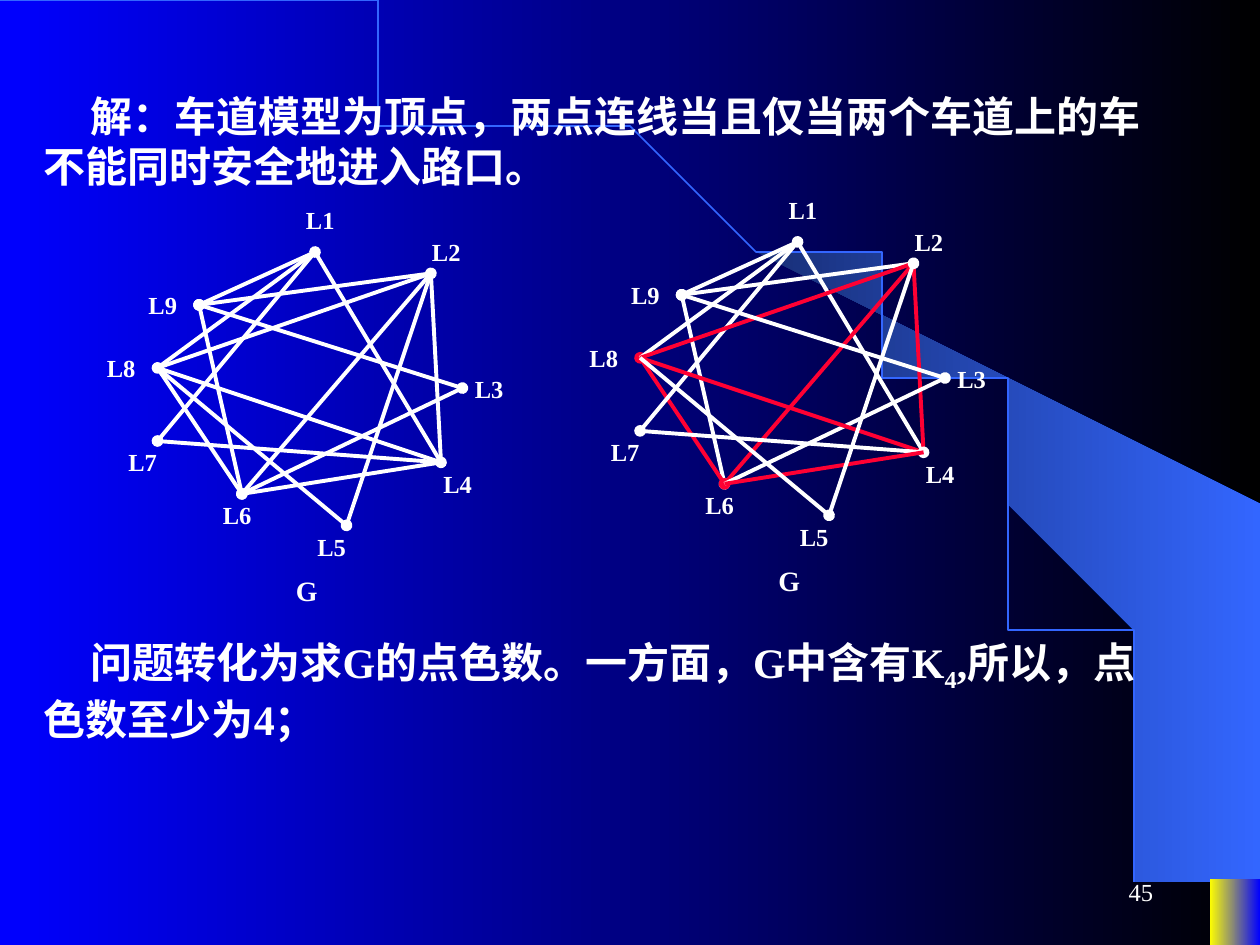
"""Build a slide that models traffic lanes as a conflict graph and highlights its K4."""
from math import cos, pi, sin

from lxml import etree
from pptx import Presentation
from pptx.dml.color import RGBColor
from pptx.enum.shapes import MSO_CONNECTOR, MSO_SHAPE
from pptx.enum.text import MSO_ANCHOR, PP_ALIGN
from pptx.oxml.ns import qn
from pptx.util import Inches, Pt

STRAIGHT = MSO_CONNECTOR.STRAIGHT
RECTANGLE = MSO_SHAPE.RECTANGLE
RIGHT, MIDDLE = PP_ALIGN.RIGHT, MSO_ANCHOR.MIDDLE
FONT = "Times New Roman"
COLORS = {"white": "FFFFFF", "red": "FF0033", "blue": "0000FF", "black": "000000",
          "navy": "182F76", "sky": "3366FF", "yellow": "FFFF00"}

SOLUTION = ["解：车道模型为顶点，两点连线当且仅当两个车道上的车不能同时安全地进入路口。"]
CONCLUSION = ["问题转化为求G的点色数。一方面，G中含有K", "4", ",所以，点色数至少为4；"]
SLIDE_NUMBER = "45"
GRAPH_NAME = "G"

VERTICES = {
    "L1": (2.5, 2), "L2": (3.42, 2.17), "L3": (3.67, 3.08),
    "L4": (3.5, 3.67), "L5": (2.75, 4.17), "L6": (1.92, 3.92),
    "L7": (1.25, 3.5), "L8": (1.25, 2.92), "L9": (1.58, 2.42),
}
LABELS = {
    "L1": (2.33, 1.58), "L2": (3.33, 1.83), "L3": (3.67, 2.92),
    "L4": (3.42, 3.67), "L5": (2.42, 4.17), "L6": (1.67, 3.92),
    "L7": (0.92, 3.5), "L8": (0.75, 2.75), "L9": (1.08, 2.25),
}
EDGES = ["L1 L9", "L9 L6", "L6 L8", "L1 L8", "L1 L7", "L1 L4", "L9 L2", "L2 L8", "L2 L6",
         "L2 L4", "L9 L3", "L3 L6", "L8 L4", "L7 L4", "L4 L6", "L2 L5", "L8 L5"]
DOTTED_EDGES = {"L1 L9", "L9 L6", "L6 L8", "L9 L3", "L7 L4", "L2 L5"}
CLIQUE = {"L2", "L4", "L6", "L8"}
GRAPHS = [((0, 0), set()), ((3.83, -0.08), CLIQUE)]

ARC_WIDTH, ARC_HEIGHT, ARC_STEPS = 9.2, 7.49, 90
BEAM = [(9.2, 7.48), (9.99, 7.49), (9.99, 4.23), (5.89, 1.73), (6.24, 1.99), (6.53, 2.22),
        (6.85, 2.5), (7.16, 2.8), (7.62, 3.3), (8.03, 3.84), (8.32, 4.31), (8.58, 4.79),
        (8.78, 5.28), (8.93, 5.72), (9.03, 6.09), (9.13, 6.56), (9.17, 6.96)]


def color(name):
    return RGBColor.from_string(COLORS[name])


def set_gradient(fill, *names):
    fill.gradient()
    fill.gradient_angle = 0
    for stop, name in zip(fill.gradient_stops, names):
        stop.color.rgb = color(name)


def add_outline(slide, points, close):
    builder = slide.shapes.build_freeform(*points[0], scale=Inches(1))
    builder.add_line_segments(points[1:], close=close)
    shape = builder.convert_to_shape()
    shape.shadow.inherit = False
    return shape


def add_text(shapes, box, runs, size, bold=True):
    shape = shapes.add_textbox(*map(Inches, box))
    shape.text_frame.word_wrap = True
    paragraph = shape.text_frame.paragraphs[0]
    paragraph.font.name = FONT
    paragraph.font.size = Pt(size)
    paragraph.font.bold = bold
    paragraph.font.color.rgb = color("white")
    for text in runs:
        paragraph.add_run().text = text
    return shape


def add_body(slide, box, runs):
    paragraph = add_text(slide.shapes, box, runs, 24).text_frame.paragraphs[0]
    paragraph.space_before = Pt(15)
    paragraph._p.get_or_add_pPr().set("indent", str(Inches(0.37)))
    return paragraph


def add_edge(shapes, start, end, line_color, dotted):
    connector = shapes.add_connector(STRAIGHT, *map(Inches, (*start, *end)))
    connector.line.color.rgb = color(line_color)
    connector.line.width = Pt(2.25)
    if dotted:
        for tag in ("a:headEnd", "a:tailEnd"):
            etree.SubElement(connector.line._get_or_add_ln(), qn(tag), type="oval")
    etree.SubElement(connector._element.spPr, qn("a:effectLst"))


def add_graph(slide, offset, clique):
    def place(point):
        return point[0] + offset[0], point[1] + offset[1]

    shapes = slide.shapes.add_group_shape().shapes
    for edge in EDGES:
        ends = edge.split()
        line_color = "red" if clique.issuperset(ends) else "white"
        start, end = (place(VERTICES[name]) for name in ends)
        add_edge(shapes, start, end, line_color, edge in DOTTED_EDGES)
    for name, point in LABELS.items():
        add_text(shapes, (*place(point), 0.52, 0.34), [name], 14)
    add_text(shapes, (*place((2.25, 4.5)), 0.77, 0.37), [GRAPH_NAME], 16)


def add_backdrop(slide):
    set_gradient(slide.background.fill, "blue", "black")
    beam = add_outline(slide, BEAM, True)
    set_gradient(beam.fill, "navy", "sky")
    beam.line.fill.background()

    angles = [pi / 2 * step / ARC_STEPS for step in range(ARC_STEPS + 1)]
    arc = add_outline(slide, [(ARC_WIDTH * sin(a), ARC_HEIGHT * (1 - cos(a))) for a in angles], False)
    arc.fill.background()
    arc.line.color.rgb = color("sky")
    arc.line.width = Pt(1)

    corner = slide.shapes.add_shape(RECTANGLE, *map(Inches, (9.6, 6.98, 0.4, 0.52)))
    corner.shadow.inherit = False
    set_gradient(corner.fill, "yellow", "blue")
    corner.line.fill.background()


def main():
    presentation = Presentation()
    presentation.slide_width, presentation.slide_height = Inches(10), Inches(7.5)
    slide = presentation.slides.add_slide(presentation.slide_layouts[6])
    add_backdrop(slide)
    number = add_text(slide.shapes, (7.17, 6.83, 2.08, 0.5), [SLIDE_NUMBER], 14, bold=False)
    number.text_frame.vertical_anchor = MIDDLE
    number.text_frame.paragraphs[0].alignment = RIGHT

    add_body(slide, (0.25, 0.67, 8.92, 0.9), SOLUTION)
    conclusion = add_body(slide, (0.25, 5, 8.92, 0.96), CONCLUSION)
    conclusion.runs[1].font._element.set("baseline", "-25000")
    for offset, clique in GRAPHS:
        add_graph(slide, offset, clique)
    presentation.save("out.pptx")


if __name__ == "__main__":
    main()
